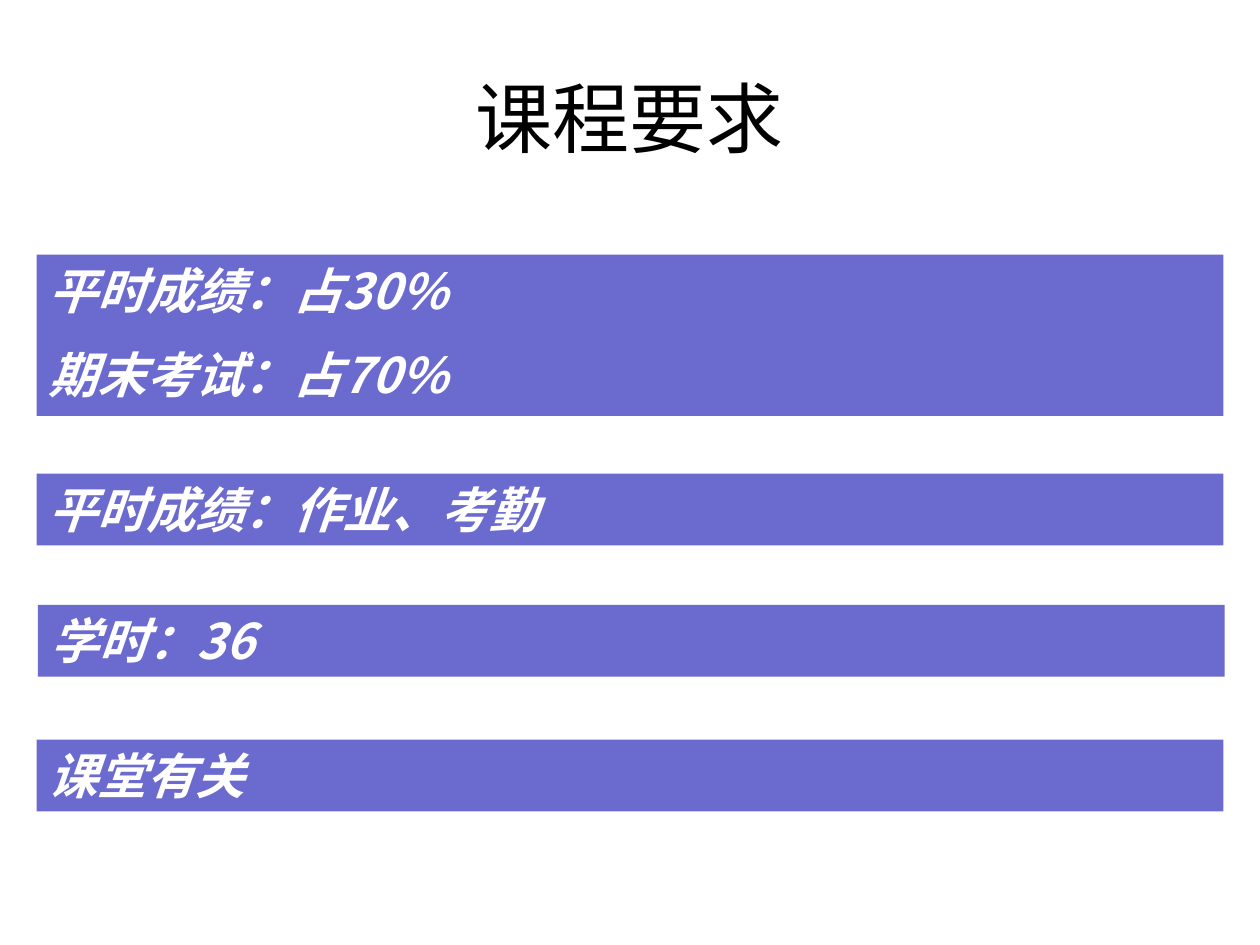
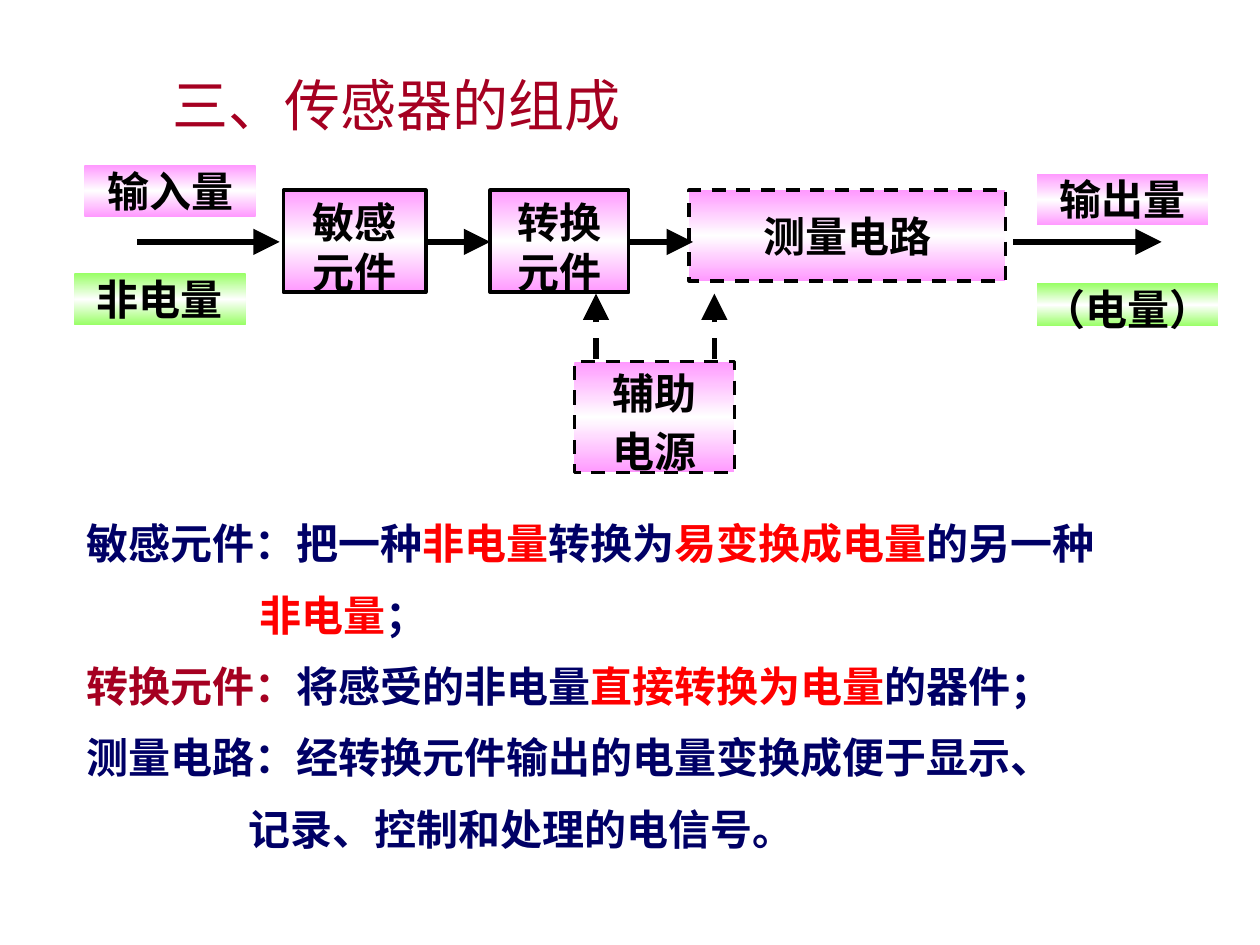
"""Build two course slides: the requirements and the parts of a sensor."""
from copy import deepcopy
from dataclasses import dataclass
from typing import Any

from lxml import etree
from pptx import Presentation
from pptx.dml.color import RGBColor
from pptx.enum import dml, shapes, text
from pptx.oxml import ns
from pptx.util import Inches, Pt

COLORS = {
    "black": "000000", "white": "FFFFFF", "band": "6B6BCF", "pink": "FF99FF",
    "green": "99FF66", "crimson": "A50021", "navy": "000066", "red": "FF0000",
}
CENTER, LEFT = text.PP_ALIGN.CENTER, text.PP_ALIGN.LEFT
TOP, MIDDLE = text.MSO_ANCHOR.TOP, text.MSO_ANCHOR.MIDDLE
MARGINS = ("margin_left", "margin_top", "margin_right", "margin_bottom")

TITLE_FONT = {"name": "Arial", "bold": False}
BAND_FONT = {"name": "Noto Sans CJK SC", "size": Pt(28), "bold": True, "italic": True}
BODY_FONT = {"name": "Arial", "size": Pt(24), "bold": True}

Run = tuple[str, str]


@dataclass(frozen=True)
class Box:
    left: float
    top: float
    width: float
    height: float

    def lengths(self) -> list[int]:
        return [Inches(v) for v in (self.left, self.top, self.width, self.height)]


@dataclass(frozen=True)
class Block:
    box: Box
    lines: tuple[str, ...]
    tint: str = "pink"
    outlined: bool = True
    dashed: bool = False
    anchor: Any = TOP


@dataclass(frozen=True)
class Arrow:
    start: tuple[float, float]
    end: tuple[float, float]
    dashed: bool = False


@dataclass(frozen=True)
class Line:
    runs: tuple[Run, ...]
    indent: float = 0


def rgb(name: str) -> RGBColor:
    return RGBColor.from_string(COLORS[name])


def apply(target: Any, values: dict[str, Any]) -> None:
    for name, value in values.items():
        setattr(target, name, value)


def write(frame: Any, lines: list[Line], font: dict[str, Any], align: Any = LEFT,
          before: float = 0, anchor: Any = TOP) -> None:
    apply(frame, {"word_wrap": True, "vertical_anchor": anchor,
                  "auto_size": text.MSO_AUTO_SIZE.NONE})
    for index, line in enumerate(lines):
        paragraph = frame.add_paragraph() if index else frame.paragraphs[0]
        apply(paragraph, {"alignment": align, "space_before": Pt(before)})
        if line.indent:
            paragraph._p.get_or_add_pPr().set("marL", str(Inches(line.indent)))
        for words, color in line.runs:
            run = paragraph.add_run()
            run.text = words
            apply(run.font, font)
            run.font.color.rgb = rgb(color)


def add_title(slide: Any, box: Box, words: str, size: int, color: str) -> None:
    frame = slide.shapes.add_textbox(*box.lengths()).text_frame
    write(frame, [Line(((words, color),))], TITLE_FONT | {"size": Pt(size)}, CENTER, anchor=MIDDLE)


def add_rectangle(slide: Any, box: Box) -> Any:
    rectangle = slide.shapes.add_shape(shapes.MSO_SHAPE.RECTANGLE, *box.lengths())
    rectangle.shadow.inherit = False
    rectangle.line.fill.background()
    return rectangle


def add_band(slide: Any, box: Box, lines: tuple[str, ...]) -> None:
    band = add_rectangle(slide, box)
    band.fill.solid()
    band.fill.fore_color.rgb = rgb("band")
    write(band.text_frame, [Line(((words, "white"),)) for words in lines], BAND_FONT, before=14)


def shade(fill: Any, tint: str) -> None:
    fill.gradient()
    fill.gradient_angle = 90
    stops = fill.gradient_stops
    for stop in stops:
        stop.color.rgb = rgb(tint)
    first = stops[0]._gs
    center = deepcopy(first)
    center.set("pos", "50000")
    first.addnext(center)
    fill.gradient_stops[1].color.rgb = rgb("white")


def draw_line(line: Any, width: float, dashed: bool) -> None:
    line.color.rgb = rgb("black")
    line.width = Pt(width)
    if dashed:
        line.dash_style = dml.MSO_LINE.DASH


def add_block(slide: Any, block: Block) -> None:
    rectangle = add_rectangle(slide, block.box)
    shade(rectangle.fill, block.tint)
    if block.outlined:
        draw_line(rectangle.line, 2, block.dashed)
    else:
        apply(rectangle.text_frame, dict.fromkeys(MARGINS, 0))
    write(rectangle.text_frame, [Line(((words, "black"),)) for words in block.lines],
          BODY_FONT, CENTER, 3.9 if block.outlined else 0, block.anchor)


def add_arrow(slide: Any, arrow: Arrow) -> None:
    ends = [Inches(v) for v in (*arrow.start, *arrow.end)]
    connector = slide.shapes.add_connector(shapes.MSO_CONNECTOR.STRAIGHT, *ends)
    draw_line(connector.line, 3, arrow.dashed)
    etree.SubElement(connector.line._get_or_add_ln(), ns.qn("a:tailEnd"),
                     type="triangle", w="lg", len="lg")
    etree.SubElement(connector._element.spPr, ns.qn("a:effectLst"))


BANDS = (
    (Box(0.29, 2.02, 9.42, 1.28), ("平时成绩：占30%", "期末考试：占70%")),
    (Box(0.29, 3.76, 9.42, 0.57), ("平时成绩：作业、考勤",)),
    (Box(0.3, 4.8, 9.42, 0.57), ("学时：36",)),
    (Box(0.29, 5.87, 9.42, 0.57), ("课堂有关",)),
)

BLOCKS = (
    Block(Box(2.25, 1.51, 1.13, 0.81), ("敏感元件",)),
    Block(Box(3.89, 1.51, 1.1, 0.81), ("转换元件",)),
    Block(Box(5.47, 1.51, 2.51, 0.72), ("测量电路",), dashed=True, anchor=MIDDLE),
    Block(Box(4.56, 2.87, 1.27, 0.88), ("辅助", "电源"), dashed=True),
    Block(Box(8.23, 1.38, 1.36, 0.41), ("输出量",), outlined=False),
    Block(Box(8.23, 2.25, 1.44, 0.34), ("（电量）",), "green", outlined=False),
    Block(Box(0.67, 1.31, 1.36, 0.41), ("输入量",), outlined=False),
    Block(Box(0.59, 2.17, 1.36, 0.41), ("非电量",), "green", outlined=False),
)

SIGNAL_Y = 1.92
SIGNAL_SPANS = ((1.09, 2.22), (3.38, 3.89), (4.99, 5.5), (8.04, 9.22))
SUPPLY_XS = (4.73, 5.67)
ARROWS = (
    *(Arrow((start, SIGNAL_Y), (end, SIGNAL_Y)) for start, end in SIGNAL_SPANS),
    *(Arrow((x, 2.85), (x, 2.33), dashed=True) for x in SUPPLY_XS),
)

DEFINITIONS = [
    Line((("敏感元件：把一种", "navy"), ("非电量", "red"), ("转换为", "navy"),
          ("易变换成电量", "red"), ("的另一种", "navy"))),
    Line((("非电量", "red"), ("；", "navy")), indent=1.37),
    Line((("转换元件：", "crimson"), ("将感受的非电量", "navy"),
          ("直接转换为电量", "red"), ("的器件；", "navy"))),
    Line((("测量电路：经转换元件输出的电量变换成便于显示、", "navy"),)),
    Line((("记录、控制和处理的电信号。", "navy"),), indent=1.28),
]


def build_requirements(slide: Any) -> None:
    add_title(slide, Box(0.5, 0.3, 9, 1.25), "课程要求", 44, "black")
    for box, lines in BANDS:
        add_band(slide, box, lines)


def build_sensor_parts(slide: Any) -> None:
    add_title(slide, Box(0.27, 0.44, 5.76, 0.77), "三、传感器的组成", 32, "crimson")
    for block in BLOCKS:
        add_block(slide, block)
    for arrow in ARROWS:
        add_arrow(slide, arrow)
    frame = slide.shapes.add_textbox(*Box(0.59, 4.06, 8.51, 2.93).lengths()).text_frame
    write(frame, DEFINITIONS, BODY_FONT, before=12)


def main() -> None:
    deck = Presentation()
    apply(deck, {"slide_width": Inches(10), "slide_height": Inches(7.5)})
    for build in (build_requirements, build_sensor_parts):
        build(deck.slides.add_slide(deck.slide_layouts[6]))
    deck.save("out.pptx")


if __name__ == "__main__":
    main()
